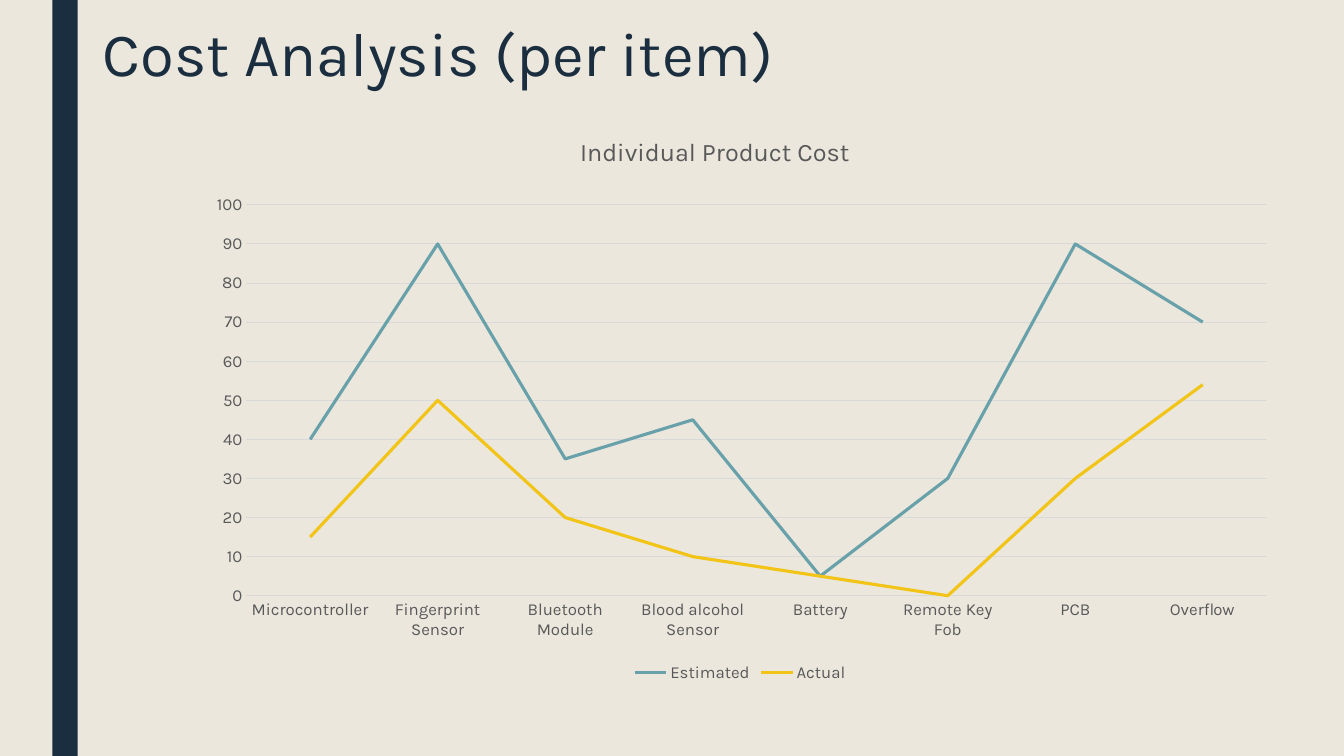
"""Build the cost analysis slide."""
import lxml.etree
import pptx
import pptx.chart.data
import pptx.dml.color
import pptx.enum.chart
import pptx.enum.shapes
import pptx.enum.text
import pptx.oxml.ns
import pptx.util

Inches = pptx.util.Inches
Pt = pptx.util.Pt
qn = pptx.oxml.ns.qn
FACE = "Karla"
NAVY, GRAY, PALE = "1A2E40", "595959", "D9D9D9"
ITEMS = ["Microcontroller", "Fingerprint Sensor", "Bluetooth Module",
         "Blood alcohol Sensor", "Battery", "Remote Key Fob", "PCB", "Overflow"]
COSTS = [("Estimated", [40, 90, 35, 45, 5, 30, 90, 70], "69A1AB"),
         ("Actual", [15, 50, 20, 10, 5, 0, 30, 54], "F2C418")]


def color(code):
    return pptx.dml.color.RGBColor.from_string(code)


def paint(fill, code):
    fill.solid()
    fill.fore_color.rgb = color(code)


def stroke(line, code, width):
    paint(line.fill, code)
    line.width = Pt(width)


def style(font, size, code):
    font.name = FACE
    font.size = Pt(size)
    font.bold = False
    font.color.rgb = color(code)


def add_text(frame, text, size, code):
    para = frame.paragraphs[0]
    run = para.add_run()
    run.text = text
    style(run.font, size, code)
    return para


def add_band(slide):
    band = slide.shapes.add_shape(pptx.enum.shapes.MSO_SHAPE.RECTANGLE,
                                  Inches(0.52), 0, Inches(0.25), Inches(7.5))
    band.shadow.inherit = False
    paint(band.fill, NAVY)
    band.line.fill.background()


def set_title(slide, text):
    title = slide.shapes.title
    title.left, title.top = Inches(0.92), Inches(0.19)
    title.width, title.height = Inches(10.5), Inches(1.62)
    frame = title.text_frame
    frame.word_wrap = True
    frame.vertical_anchor = pptx.enum.text.MSO_ANCHOR.TOP
    para = add_text(frame, text, 44, NAVY)
    para.alignment = pptx.enum.text.PP_ALIGN.LEFT
    para.line_spacing = 0.89


def place(part, index, **spots):
    """Give a chart part a manual layout in fractions of the chart."""
    old = part.find(qn("c:layout"))
    if old is not None:
        part.remove(old)
    layout = lxml.etree.Element(qn("c:layout"))
    part.insert(index, layout)
    manual = lxml.etree.SubElement(layout, qn("c:manualLayout"))
    if "w" in spots:
        lxml.etree.SubElement(manual, qn("c:layoutTarget")).set("val", "inner")
    for key in ("x", "y"):
        lxml.etree.SubElement(manual, qn(f"c:{key}Mode")).set("val", "edge")
    for key, value in spots.items():
        lxml.etree.SubElement(manual, qn(f"c:{key}")).set("val", str(value))


def format_axis(axis):
    none = pptx.enum.chart.XL_TICK_MARK.NONE
    axis.major_tick_mark = axis.minor_tick_mark = none
    style(axis.tick_labels.font, 12, GRAY)


def add_chart(slide):
    data = pptx.chart.data.CategoryChartData()
    data.categories = ITEMS
    for name, costs, _ in COSTS:
        data.add_series(name, costs)
    chart = slide.shapes.add_chart(
        pptx.enum.chart.XL_CHART_TYPE.LINE, Inches(1.9), Inches(1.19),
        Inches(10.88), Inches(5.62), data).chart
    style(chart.font, 10, "000000")
    chart.has_title = True
    title = chart.chart_title
    add_text(title.text_frame, "Individual Product Cost", 18, GRAY)
    title.include_in_layout = False
    place(title._element, 1, x=0.35, y=0.02)
    place(chart._chartSpace.chart.plotArea, 0, x=0.05, y=0.15, w=0.93, h=0.69)
    chart.plots[0].vary_by_categories = False
    for series, (_, _, code) in zip(chart.series, COSTS):
        series.smooth = False
        series.marker.style = pptx.enum.chart.XL_MARKER_STYLE.NONE
        stroke(series.format.line, code, 2.25)
    format_axis(chart.category_axis)
    stroke(chart.category_axis.format.line, PALE, 0.75)
    scale = chart.value_axis
    format_axis(scale)
    scale.minimum_scale, scale.maximum_scale, scale.major_unit = 0, 100, 10
    scale.format.line.fill.background()
    stroke(scale.major_gridlines.format.line, PALE, 0.75)
    chart.has_legend = True
    chart.legend.position = pptx.enum.chart.XL_LEGEND_POSITION.BOTTOM
    chart.legend.include_in_layout = False
    style(chart.legend.font, 12, GRAY)


def main():
    deck = pptx.Presentation()
    deck.slide_width, deck.slide_height = Inches(13.33), Inches(7.5)
    slide = deck.slides.add_slide(deck.slide_layouts[5])
    paint(slide.background.fill, "EBE7DD")
    add_band(slide)
    set_title(slide, "Cost Analysis (per item)")
    add_chart(slide)
    deck.save("out.pptx")


if __name__ == "__main__":
    main()
